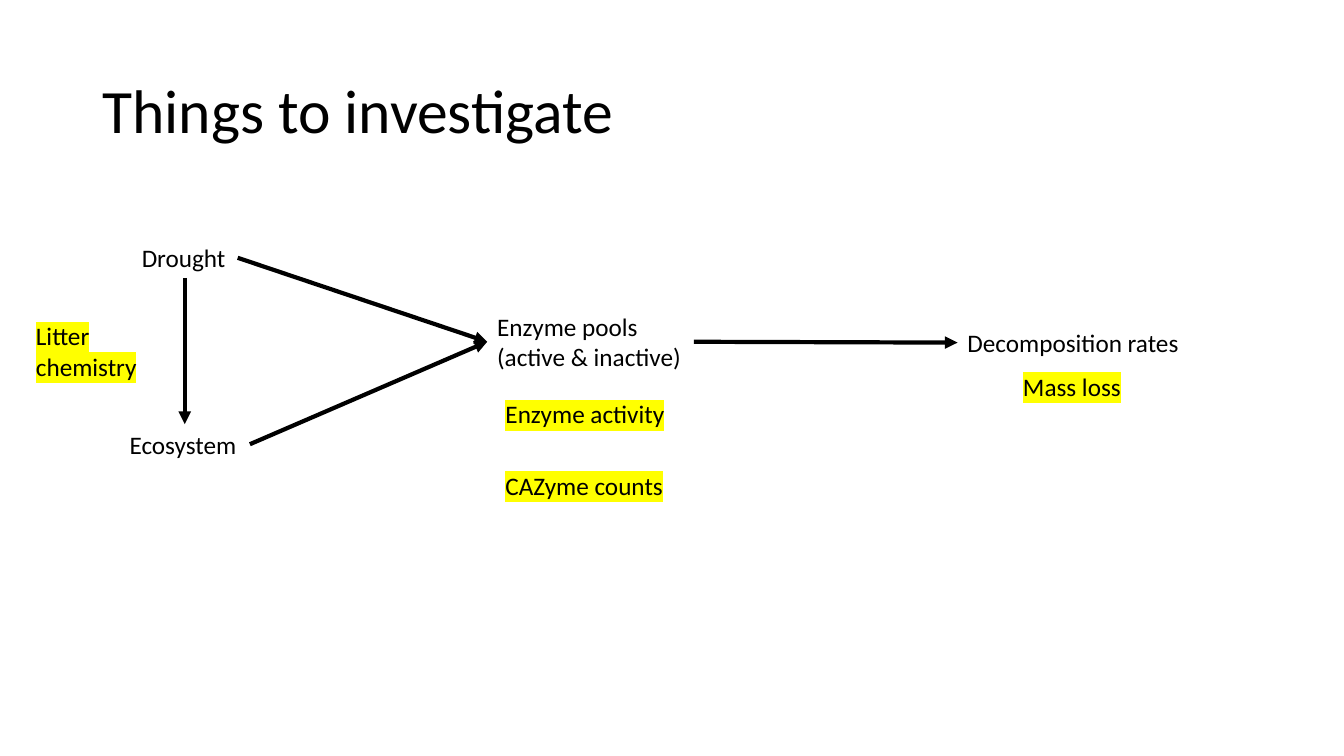
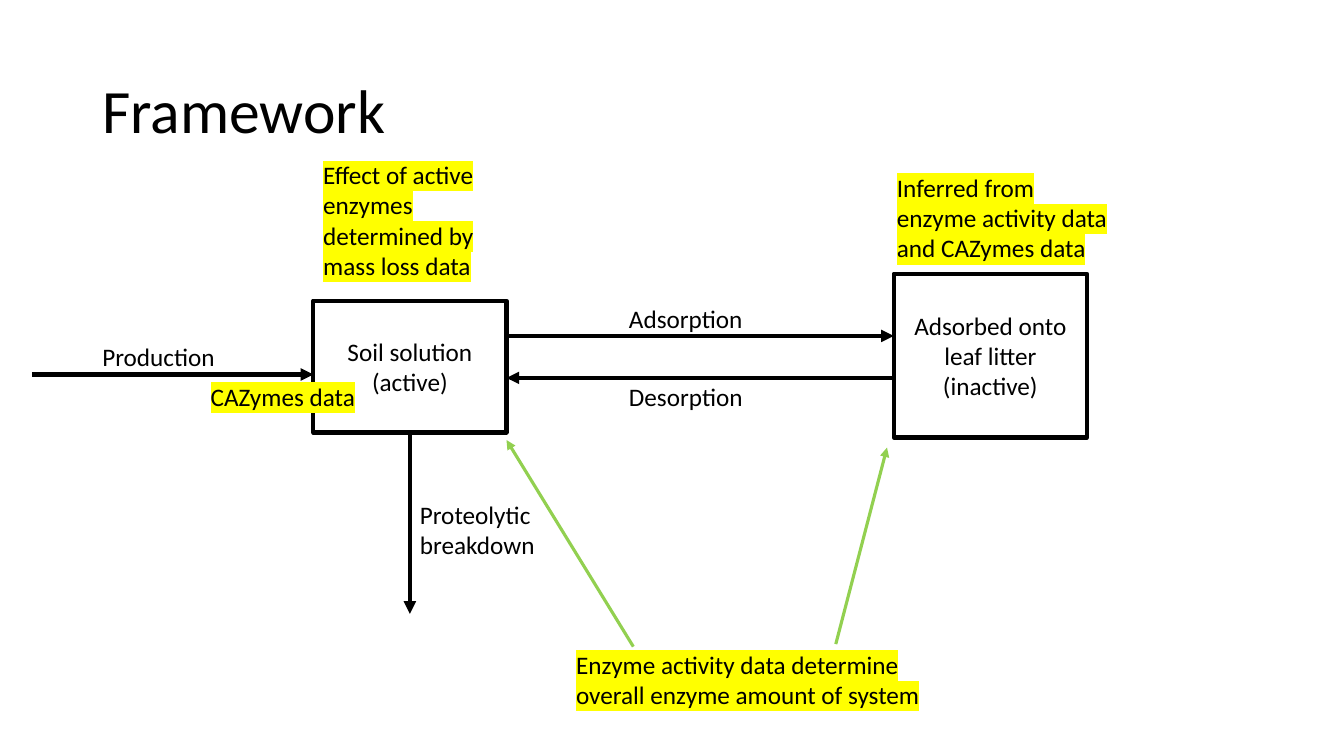
from lxml import etree
from pptx import Presentation
from pptx.dml.color import RGBColor
from pptx.enum.shapes import MSO_CONNECTOR, MSO_SHAPE
from pptx.enum.text import MSO_ANCHOR, PP_ALIGN
from pptx.oxml.ns import qn
from pptx.util import Inches, Pt

STRAIGHT = MSO_CONNECTOR.STRAIGHT
RECTANGLE = MSO_SHAPE.RECTANGLE
TOP, MIDDLE = MSO_ANCHOR.TOP, MSO_ANCHOR.MIDDLE
LEFT_ALIGN, CENTER = PP_ALIGN.LEFT, PP_ALIGN.CENTER

# Connection sites of a rectangle
SITE_TOP, SITE_LEFT, SITE_BOTTOM, SITE_RIGHT = range(4)


def color(hex_code):
    return RGBColor.from_string(hex_code)


class Deck:
    """Shared style and current slide; lengths are cells of a 160 x 90 grid."""

    COLUMNS = 160
    FONT = "Calibri"
    INK, MARKER, GREEN = "000000", "FFFF00", "92D050"
    TITLE_SIZE, BODY_SIZE = 44, 18
    STROKE, THIN_STROKE = 3, 2.25
    LINE_ROWS, PADDING_ROWS = 3.6, 1.2

    def __init__(self):
        self.presentation = Presentation()
        self.presentation.slide_width = Inches(13.33)
        self.presentation.slide_height = Inches(7.5)
        self.cell = self.presentation.slide_width / self.COLUMNS
        self.slide = None

    def grid(self, *cells):
        return [round(count * self.cell) for count in cells]

    def new_slide(self, title):
        blank = self.presentation.slide_layouts[6]
        self.slide = self.presentation.slides.add_slide(blank)
        heading = self.slide.shapes.add_textbox(*self.grid(11, 4.8, 138, 17.4))
        self.set_text(heading, title, size=self.TITLE_SIZE, anchor=MIDDLE)
        heading.text_frame.paragraphs[0].line_spacing = 0.9

    def set_text(self, shape, text, size=BODY_SIZE, anchor=TOP,
                 align=LEFT_ALIGN, marked=False):
        frame = shape.text_frame
        frame.word_wrap = True
        frame.vertical_anchor = anchor
        paragraph = frame.paragraphs[0]
        paragraph.alignment = align
        run = paragraph.add_run()
        run.text = text
        run.font.size = Pt(size)
        run.font.name = self.FONT
        run.font.color.rgb = color(self.INK)
        if marked:
            highlight = etree.Element(qn("a:highlight"))
            etree.SubElement(highlight, qn("a:srgbClr"), val=self.MARKER)
            run.font._element.find(qn("a:solidFill")).addnext(highlight)

    def label(self, text, left, top, width, lines=1, marked=False):
        height = self.PADDING_ROWS + self.LINE_ROWS * lines
        box = self.slide.shapes.add_textbox(*self.grid(left, top, width, height))
        self.set_text(box, text, marked=marked)
        return box

    def note(self, text, left, top, width, lines=1):
        return self.label(text, left, top, width, lines, marked=True)

    def pool(self, text, left, top, width, height):
        box = self.slide.shapes.add_shape(
            RECTANGLE, *self.grid(left, top, width, height))
        box.shadow.inherit = False
        box.fill.background()
        box.line.color.rgb = color(self.INK)
        box.line.width = Pt(self.STROKE)
        self.set_text(box, text, anchor=MIDDLE, align=CENTER)

    def arrow(self, start, end, stroke=STROKE, ink=INK):
        connector = self.slide.shapes.add_connector(
            STRAIGHT, *self.grid(*start, *end))
        connector.line.color.rgb = color(ink)
        connector.line.width = Pt(stroke)
        outline = connector.line._get_or_add_ln()
        etree.SubElement(outline, qn("a:tailEnd"), type="triangle")
        etree.SubElement(connector._element.spPr, qn("a:effectLst"))
        return connector

    def link(self, source, source_site, target, target_site):
        connector = self.arrow((0, 0), (0, 0))
        connector.begin_connect(source, source_site)
        connector.end_connect(target, target_site)


def things_to_investigate(deck):
    deck.new_slide("Things to investigate")

    # Causes and effects
    drought = deck.label("Drought", 15.7, 28.3, 12.6)
    ecosystem = deck.label("Ecosystem", 14.25, 50.5, 15.5)
    enzymes = deck.label("Enzyme pools (active & inactive)", 58, 36.5, 24.6, 2)
    decomposition = deck.label("Decomposition rates", 114, 38.4, 30.8)
    deck.link(drought, SITE_BOTTOM, ecosystem, SITE_TOP)
    for cause in (drought, ecosystem):
        deck.link(cause, SITE_RIGHT, enzymes, SITE_LEFT)
    deck.link(enzymes, SITE_RIGHT, decomposition, SITE_LEFT)

    # Measurements
    deck.note("Mass loss", 120.6, 43.6, 14.2)
    deck.note("Enzyme activity", 59, 46.9, 22.6)
    deck.note("CAZyme counts", 59, 55.4, 22.6)
    deck.note("Litter chemistry", 3.1, 37.6, 15.5, 2)


def framework(deck):
    deck.new_slide("Framework")

    # Enzyme pools
    pool_width, solution_left, litter_left = 23, 37.3, 106.4
    solution_top, solution_height = 35.8, 15.7
    solution_right = solution_left + pool_width
    solution_middle = solution_left + pool_width / 2
    solution_bottom = solution_top + solution_height
    deck.pool("Adsorbed onto leaf litter (inactive)",
              litter_left, 32.6, pool_width, 19.5)
    deck.pool("Soil solution (active)",
              solution_left, solution_top, pool_width, solution_height)

    # Flows between the pools
    deck.arrow((3.8, 44.6), (solution_left, 44.6))
    deck.label("Production", 11, 40, 16.6)
    deck.arrow((solution_right, 40), (litter_left, 40))
    deck.label("Adsorption", 73.7, 35.5, 17.2)
    deck.arrow((litter_left, 45), (solution_right, 45))
    deck.label("Desorption", 73.7, 44.8, 21.2)
    deck.arrow((solution_middle, solution_bottom), (solution_middle, 73.1))
    deck.label("Proteolytic breakdown", solution_middle, 58.9, 17, 2)

    # Data sources
    deck.note("CAZymes data", 23.9, 44.8, 22.9)
    deck.note("Effect of active enzymes determined by mass loss data",
              solution_left, 18.4, 24.4, 4)
    deck.note("Enzyme activity data determine overall enzyme amount of system",
              67.4, 76.7, 43.6, 2)
    deck.note("Inferred from enzyme activity data and CAZymes data",
              105.6, 19.9, 28.1, 3)
    for start, end in (((75.4, 77), (solution_right, 52.4)),
                       ((99.5, 76.7), (105.6, 53.3))):
        deck.arrow(start, end, deck.THIN_STROKE, deck.GREEN)


def main():
    deck = Deck()
    things_to_investigate(deck)
    framework(deck)
    deck.presentation.save("out.pptx")


if __name__ == "__main__":
    main()
